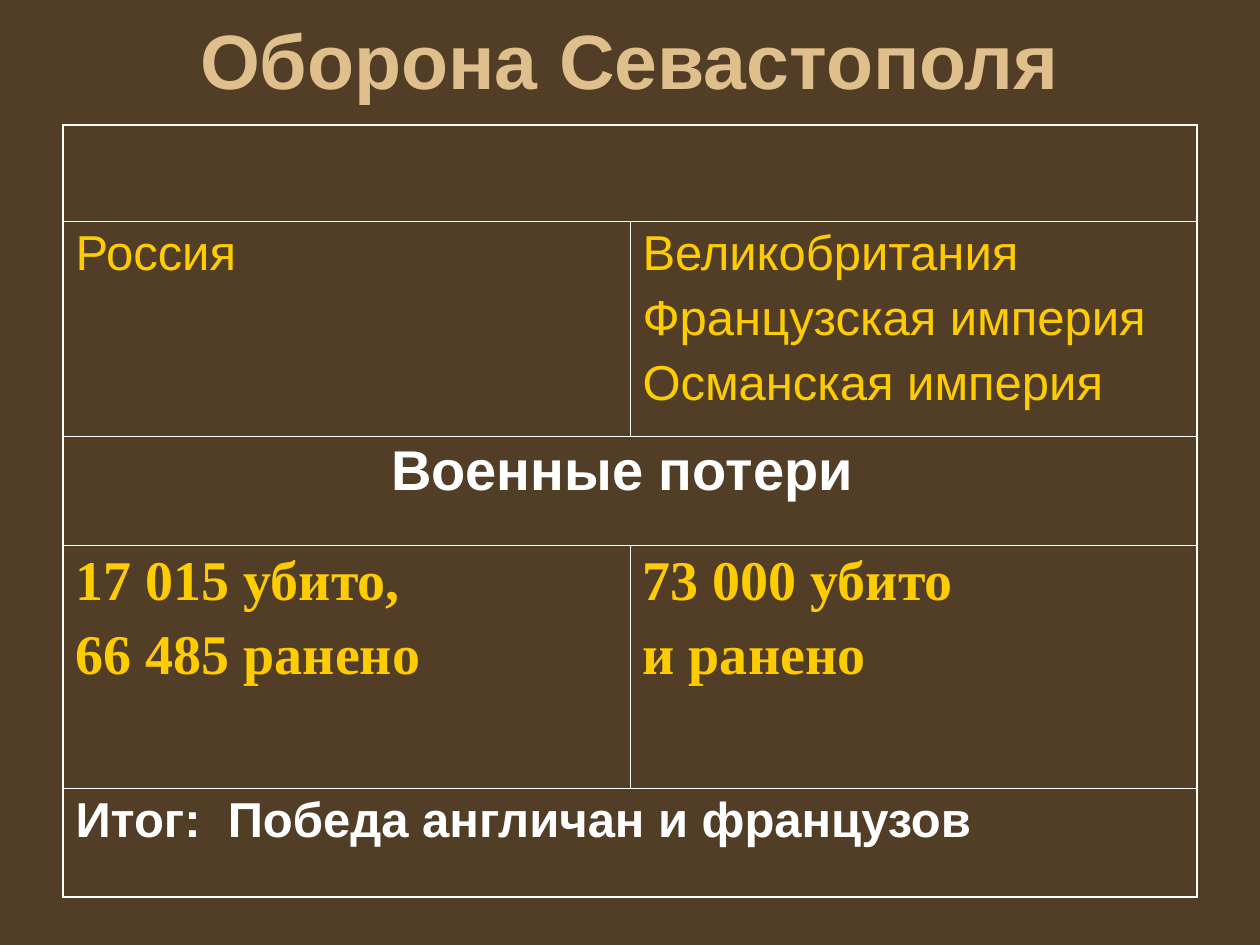
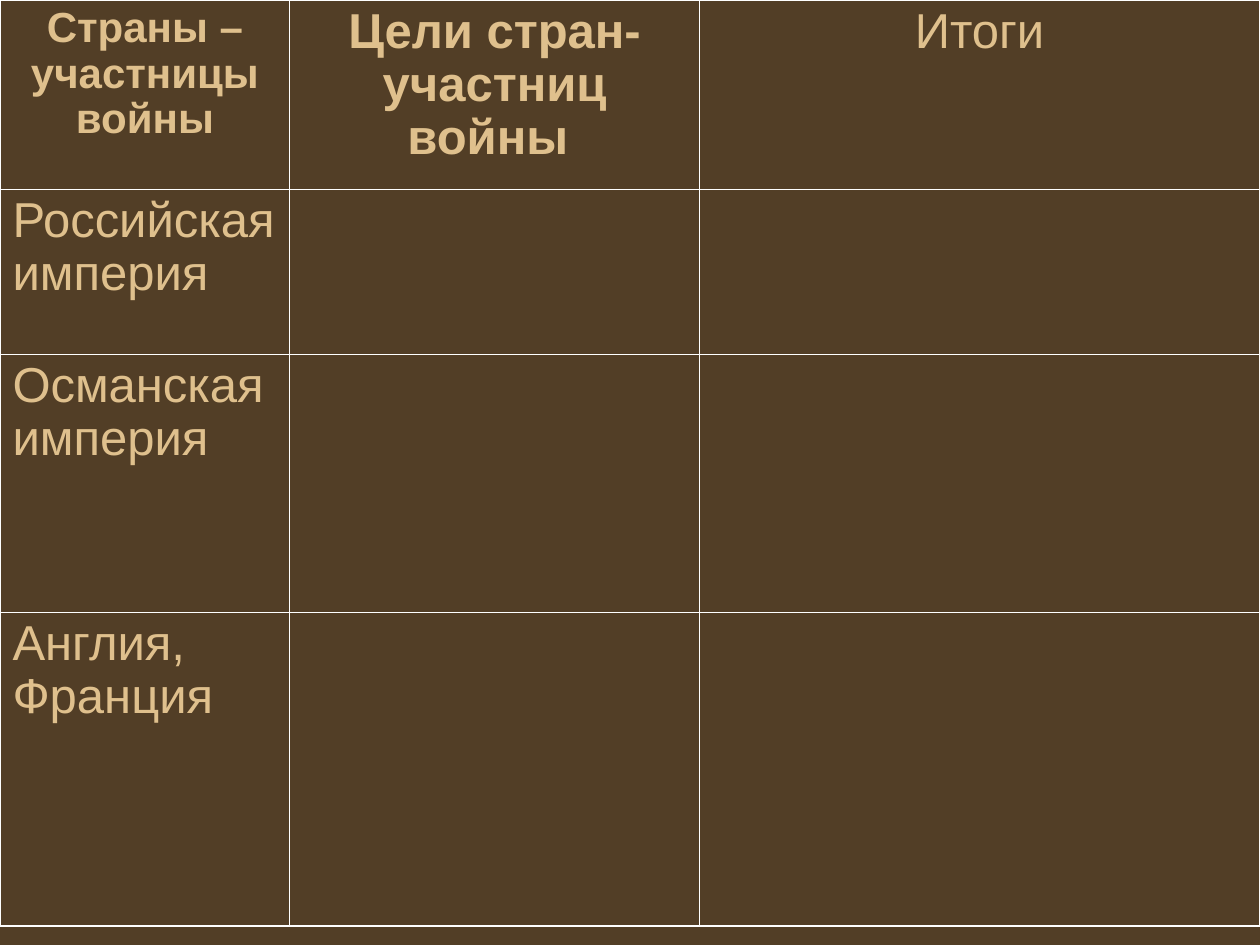
from lxml.etree import SubElement
from pptx import Presentation
from pptx.dml.color import RGBColor
from pptx.enum.text import MSO_ANCHOR, PP_ALIGN
from pptx.oxml.ns import qn
from pptx.util import Inches, Pt

# Shared look
COLORS = {"ground": "523E26", "sand": "DFC08D", "gold": "FFCC00", "white": "FFFFFF"}
FONT, SERIF = "Arial", "Times New Roman"
OUTER, INNER = 1.08, 0.45
LINE_SPACING = 0.97

# Text styles: size, colour, bold, font, alignment
STYLES = {
    "title": (44, "sand", True, FONT, PP_ALIGN.CENTER),
    "side": (28, "gold", False, FONT, PP_ALIGN.LEFT),
    "heading": (32, "white", True, FONT, PP_ALIGN.CENTER),
    "losses": (32, "gold", True, SERIF, PP_ALIGN.LEFT),
    "result": (28, "white", True, FONT, PP_ALIGN.LEFT),
    "head_small": (24, "sand", True, FONT, PP_ALIGN.CENTER),
    "head_bold": (28, "sand", True, FONT, PP_ALIGN.CENTER),
    "head_plain": (28, "sand", False, FONT, PP_ALIGN.CENTER),
    "country": (28, "sand", False, FONT, PP_ALIGN.LEFT),
}

# Content: a row with one entry spans the whole table; None is an empty cell
SLIDES = [
    {
        "title": "Оборона Севастополя",
        "origin": (0.5, 0.99),
        "cols": [4.5, 4.5],
        "heights": [0.77, 1.7, 0.87, 1.93, 0.86],
        "rows": [
            [None],
            [("side", "Россия"),
             ("side", "Великобритания\nФранцузская империя\nОсманская империя")],
            [("heading", "Военные потери ")],
            [("losses", "17 015 убито,\n66 485 ранено"),
             ("losses", "73 000 убито\nи ранено")],
            [("result", "Итог:  Победа англичан и французов")],
        ],
    },
    {
        "title": None,
        "origin": (0, 0),
        "cols": [2.3, 3.25, 4.45],
        "heights": [1.5, 1.31, 2.05, 2.49],
        "rows": [
            [("head_small", "Страны – участницы войны"),
             ("head_bold", "Цели стран-участниц войны "),
             ("head_plain", "Итоги")],
            [("country", "Российская империя"), None, None],
            [("country", "Османская империя"), None, None],
            [("country", "Англия, Франция"), None, None],
        ],
    },
]


def write(tf, style, text):
    size, color, bold, font, align = STYLES[style]
    tf.text = text
    for i, p in enumerate(tf.paragraphs):
        p.alignment = align
        p.line_spacing = LINE_SPACING
        p.space_before = Pt(size / 4 if i else 0)
        for r in p.runs:
            r.font.size, r.font.bold, r.font.name = Pt(size), bold, font
            r.font.color.rgb = RGBColor.from_string(COLORS[color])


def add_border(cell, side, width):
    ln = SubElement(cell._tc.get_or_add_tcPr(), qn(f"a:ln{side}"), w=str(Pt(width)))
    fill = SubElement(ln, qn("a:solidFill"))
    SubElement(fill, qn("a:srgbClr"), val=COLORS["white"])


def frame_cell(cell, row, col, n_rows, n_cols):
    """Thick lines on the rim of the table, thin ones inside."""
    on_rim = {
        "L": col == 0,
        "R": col + cell.span_width == n_cols,
        "T": row == 0,
        "B": row == n_rows - 1,
    }
    for side, rim in on_rim.items():
        if not (side == "L" and cell.is_spanned):
            add_border(cell, side, OUTER if rim else INNER)
    cell.fill.background()


def add_grid(s, content):
    cols, heights = content["cols"], content["heights"]
    n_rows, n_cols = len(heights), len(cols)
    x, y = content["origin"]
    table = s.shapes.add_table(n_rows, n_cols, Inches(x), Inches(y),
                               Inches(sum(cols)), Inches(sum(heights))).table
    table.first_row = table.horz_banding = False
    for column, width in zip(table.columns, cols):
        column.width = Inches(width)
    for row, (height, entries) in enumerate(zip(heights, content["rows"])):
        table.rows[row].height = Inches(height)
        if len(entries) == 1:
            table.cell(row, 0).merge(table.cell(row, n_cols - 1))
        for col, entry in enumerate(entries):
            if entry:
                write(table.cell(row, col).text_frame, *entry)
        for col in range(n_cols):
            frame_cell(table.cell(row, col), row, col, n_rows, n_cols)


def add_title(s, text):
    sp = s.shapes.title
    sp.left, sp.top, sp.width, sp.height = (Inches(v) for v in (0.5, 0, 9, 0.99))
    sp.text_frame.vertical_anchor = MSO_ANCHOR.MIDDLE
    write(sp.text_frame, "title", text)


def main():
    prs = Presentation()
    prs.slide_width, prs.slide_height = Inches(10), Inches(7.5)
    ground = prs.slide_master.background.fill
    ground.solid()
    ground.fore_color.rgb = RGBColor.from_string(COLORS["ground"])
    title_only, blank = prs.slide_layouts[5], prs.slide_layouts[6]

    for content in SLIDES:
        s = prs.slides.add_slide(title_only if content["title"] else blank)
        if content["title"]:
            add_title(s, content["title"])
        add_grid(s, content)
    prs.save("out.pptx")


if __name__ == "__main__":
    main()
